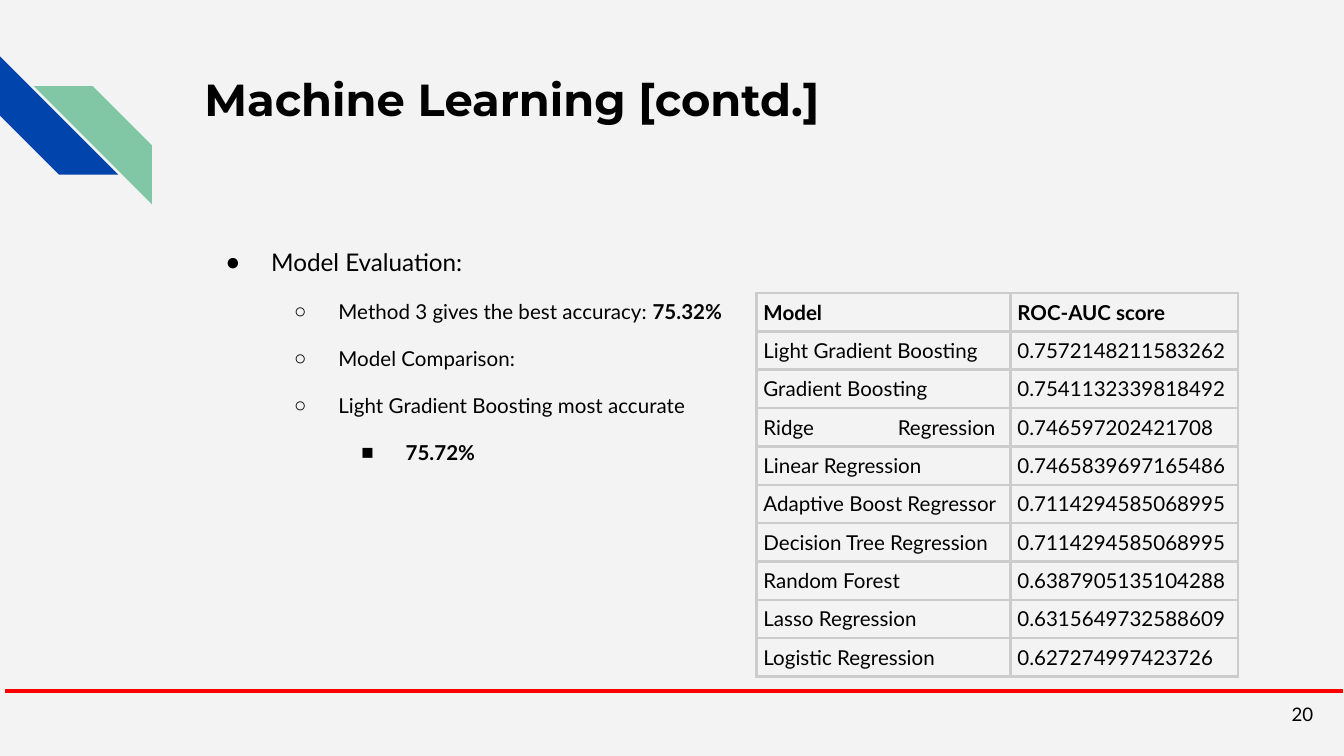
from lxml import etree
from pptx import Presentation
from pptx.dml.color import RGBColor
from pptx.enum.shapes import MSO_CONNECTOR, MSO_SHAPE
from pptx.enum.text import MSO_ANCHOR, MSO_AUTO_SIZE, PP_ALIGN
from pptx.oxml.ns import qn
from pptx.util import Inches, Pt

TOP, MIDDLE = MSO_ANCHOR.TOP, MSO_ANCHOR.MIDDLE
LEFT, RIGHT = PP_ALIGN.LEFT, PP_ALIGN.RIGHT
NO_AUTO_SIZE = MSO_AUTO_SIZE.NONE
STRIPE = MSO_SHAPE.DIAGONAL_STRIPE
STRAIGHT = MSO_CONNECTOR.STRAIGHT
TITLE_ONLY = 5

COLORS = {"background": "F3F3F3", "text": "000000", "blue": "0145AC",
          "green": "82C7A5", "border": "CCCCCC", "rule": "FF0000"}

# Level and runs (text, bold) of each bullet
BULLETS = [
    (0, [("Model Evaluation:", False)]),
    (1, [("Method 3 gives the best accuracy: ", False), ("75.32%", True)]),
    (1, [("Model Comparison:", False)]),
    (1, [("Light Gradient Boosting most accurate", False)]),
    (2, [("75.72%", True)]),
]
SCORES = [
    ("Model", "ROC-AUC score"),
    ("Light Gradient Boosting", "0.7572148211583262"),
    ("Gradient Boosting", "0.7541132339818492"),
    ("Ridge \tRegression", "0.746597202421708"),
    ("Linear Regression", "0.7465839697165486"),
    ("Adaptive Boost Regressor", "0.7114294585068995"),
    ("Decision Tree Regression", "0.7114294585068995"),
    ("Random Forest", "0.6387905135104288"),
    ("Lasso Regression", "0.6315649732588609"),
    ("Logistic Regression", "0.627274997423726"),
]


def color(name):
    return RGBColor.from_string(COLORS[name])


def inches(*lengths):
    return [Inches(length) for length in lengths]


def add_run(paragraph, text, size=11, bold=False, font="Lato"):
    run = paragraph.add_run()
    run.text = text
    run.font.name = font
    run.font.size = Pt(size)
    run.font.bold = bold
    run.font.color.rgb = color("text")


class SlideBuilder:
    body_size = 11
    line_spacing = 1.15
    bullet_marks = "●○■"

    def __init__(self, presentation):
        self.slide = presentation.slides.add_slide(presentation.slide_layouts[TITLE_ONLY])
        fill = self.slide.background.fill
        fill.solid()
        fill.fore_color.rgb = color("background")

    def format_frame(self, frame, anchor=TOP):
        frame.word_wrap = True
        frame.auto_size = NO_AUTO_SIZE
        frame.vertical_anchor = anchor
        frame.margin_left = frame.margin_right = Inches(0.1)
        frame.margin_top = frame.margin_bottom = Inches(0.1)

    def stripe(self, left, top, size, fill, rotation=0, flip=False):
        shape = self.slide.shapes.add_shape(STRIPE, *inches(left, top, size, size))
        shape.shadow.inherit = False
        shape.fill.solid()
        shape.fill.fore_color.rgb = color(fill)
        shape.line.fill.background()
        shape.adjustments[0] = 0.5
        shape.rotation = rotation
        if flip:
            shape._element.spPr.find(qn("a:xfrm")).set("flipH", "1")

    def title(self, box, text):
        shape = self.slide.shapes.title
        shape.left, shape.top, shape.width, shape.height = inches(*box)
        self.format_frame(shape.text_frame)
        paragraph = shape.text_frame.paragraphs[0]
        paragraph.alignment = LEFT
        add_run(paragraph, text, size=24, bold=True, font="Montserrat")

    def text(self, box, text, size, alignment):
        frame = self.slide.shapes.add_textbox(*inches(*box)).text_frame
        self.format_frame(frame, MIDDLE)
        frame.paragraphs[0].alignment = alignment
        add_run(frame.paragraphs[0], text, size=size)

    def bullets(self, box, items):
        frame = self.slide.shapes.add_textbox(*inches(*box)).text_frame
        self.format_frame(frame)
        for index, (level, runs) in enumerate(items):
            paragraph = frame.add_paragraph() if index else frame.paragraphs[0]
            paragraph.level = level
            paragraph.line_spacing = self.line_spacing
            paragraph.space_before = Pt(10 if level else 0)
            properties = paragraph._p.get_or_add_pPr()
            properties.set("marL", str(Inches(0.5 * (level + 1))))
            properties.set("indent", str(Inches(-0.33 if level else -0.34)))
            bullet_color = etree.SubElement(properties, qn("a:buClr"))
            etree.SubElement(bullet_color, qn("a:srgbClr"), val=COLORS["text"])
            etree.SubElement(properties, qn("a:buFont"), typeface="Arial")
            etree.SubElement(properties, qn("a:buChar"), char=self.bullet_marks[level])
            for text, bold in runs:
                add_run(paragraph, text, self.body_size if level else 13, bold)

    def table(self, left, top, column_widths, height, rows):
        frame = self.slide.shapes.add_table(
            len(rows), len(column_widths),
            *inches(left, top, sum(column_widths), height))
        table = frame.table
        table.first_row = table.horz_banding = False
        for column, width in zip(table.columns, column_widths):
            column.width = Inches(width)
        for row_index, values in enumerate(rows):
            for column_index, value in enumerate(values):
                cell = table.cell(row_index, column_index)
                cell.margin_left = cell.margin_right = Inches(0.05)
                cell.margin_top = cell.margin_bottom = Inches(0.05)
                self.cell_borders(cell)
                cell.fill.background()
                paragraph = cell.text_frame.paragraphs[0]
                if "\t" in value:
                    self.tab_stop(paragraph, 1)
                add_run(paragraph, value, self.body_size, bold=row_index == 0)

    def tab_stop(self, paragraph, position):
        stops = etree.SubElement(paragraph._p.get_or_add_pPr(), qn("a:tabLst"))
        etree.SubElement(stops, qn("a:tab"), pos=str(Inches(position)), algn="l")

    def cell_borders(self, cell):
        properties = cell._tc.get_or_add_tcPr()
        for side in ("lnL", "lnR", "lnT", "lnB"):
            border = etree.SubElement(properties, qn(f"a:{side}"), w=str(Pt(1.5)))
            fill = etree.SubElement(border, qn("a:solidFill"))
            etree.SubElement(fill, qn("a:srgbClr"), val=COLORS["border"])

    def rule(self, left, right, top):
        line = self.slide.shapes.add_connector(STRAIGHT, *inches(left, top, right, top))
        line.line.color.rgb = color("rule")
        line.line.width = Pt(2.25)
        etree.SubElement(line._element.spPr, qn("a:effectLst"))


def main():
    presentation = Presentation()
    # Widescreen, 16:9
    presentation.slide_width, presentation.slide_height = inches(10, 10 * 9 / 16)
    builder = SlideBuilder(presentation)

    # Corner decoration
    builder.stripe(0, 0.42, 0.88, "blue", rotation=270)
    builder.stripe(0.25, 0.64, 0.88, "green", flip=True)

    # Title and content
    builder.title((1.42, 0.43, 7.7, 1), "Machine Learning [contd.]")
    builder.table(5.63, 2.18, (1.89, 1.69), 2.84, SCORES)
    builder.bullets((1.42, 1.71, 4.07, 3.18), BULLETS)

    # Footer
    builder.rule(0.04, 9.99, 5.14)
    builder.text((9.27, 5.1, 0.6, 0.43), "20", size=10, alignment=RIGHT)

    presentation.save("out.pptx")


if __name__ == "__main__":
    main()
